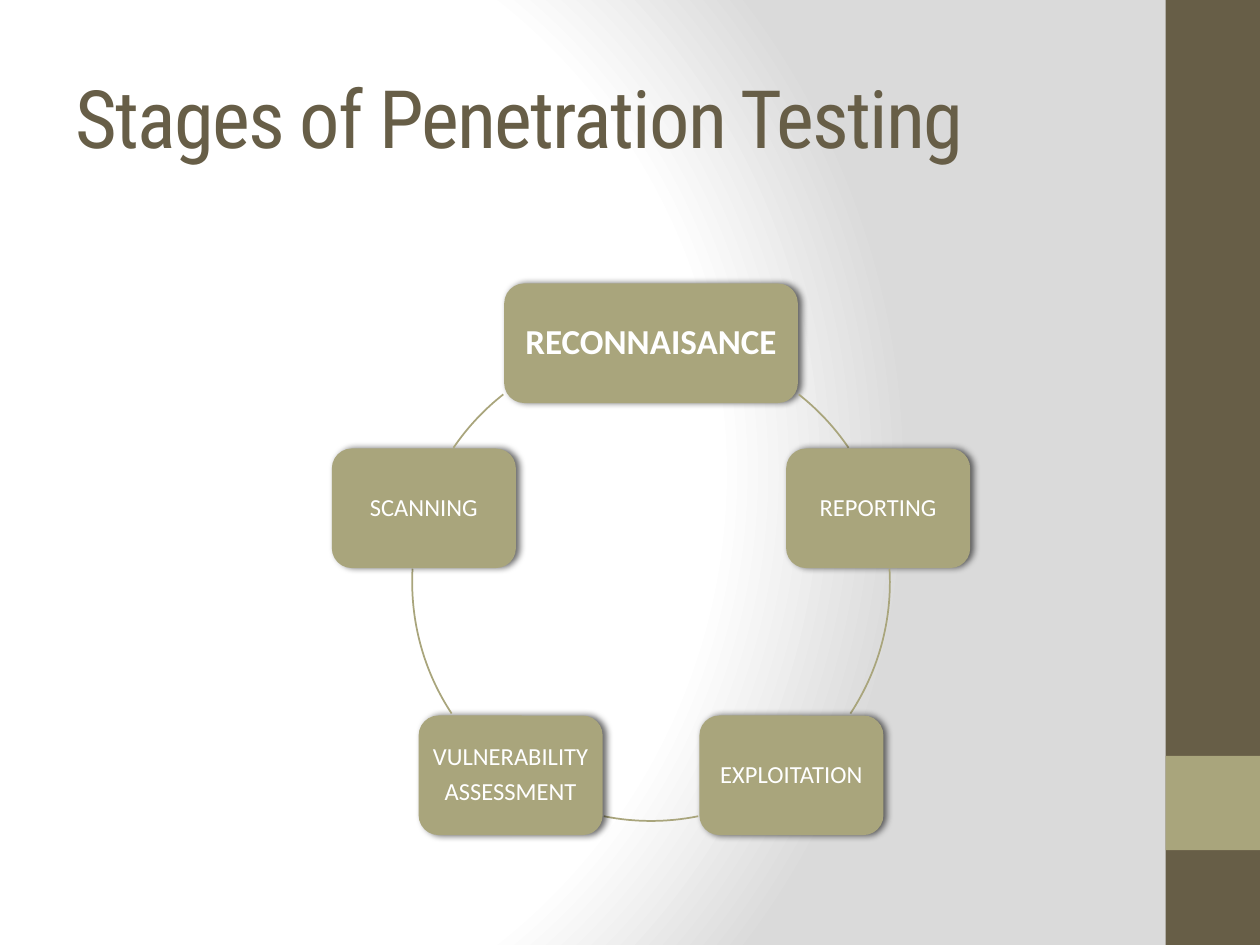
from math import cos, radians, sin

from pptx import Presentation
from pptx.dml.color import RGBColor
from pptx.enum.shapes import MSO_SHAPE
from pptx.enum.text import MSO_ANCHOR, MSO_AUTO_SIZE, PP_ALIGN
from pptx.oxml import parse_xml
from pptx.oxml.ns import nsdecls
from pptx.util import Cm, Pt

RECTANGLE = MSO_SHAPE.RECTANGLE
ROUNDED = MSO_SHAPE.ROUNDED_RECTANGLE
ARC = MSO_SHAPE.ARC
MIDDLE = MSO_ANCHOR.MIDDLE
LEFT, CENTER = PP_ALIGN.LEFT, PP_ALIGN.CENTER
NO_AUTOFIT = MSO_AUTO_SIZE.NONE

COLORS = {"brown": "675E47", "olive": "A9A57C", "white": "FFFFFF",
          "gray": "DADADA", "shadow": "000000"}
TITLE_FONT, BODY_FONT = "Roboto Condensed", "Calibri"
TITLE_ONLY = 5

STAGES = [
    {"lines": ["RECONNAISANCE"], "arc": (308.2, 325.8), "width": 5.92,
     "margin": 0.2, "size": 20, "bold": True},
    {"lines": ["REPORTING"], "arc": (356.8, 33.4)},
    {"lines": ["EXPLOITATION"], "arc": (78.6, 101.4)},
    {"lines": ["VULNERABILITY", "ASSESSMENT"], "arc": (146.6, 183.2)},
    {"lines": ["SCANNING"], "arc": (214.2, 231.8)},
]


def color(name):
    """Return the named palette colour."""
    return RGBColor.from_string(COLORS[name])


def write_text(shape, lines, size, font, ink, align=CENTER, bold=False,
               margin=None, line_spacing=None, space_after=None, tracking=None):
    """Write one paragraph per line into a shape, with the given format."""
    frame = shape.text_frame
    frame.auto_size = NO_AUTOFIT
    frame.word_wrap = True
    frame.vertical_anchor = MIDDLE
    if margin is not None:
        frame.margin_left = frame.margin_right = Cm(margin)
        frame.margin_top = frame.margin_bottom = Cm(margin)
    for index, line in enumerate(lines):
        paragraph = frame.add_paragraph() if index else frame.paragraphs[0]
        paragraph.alignment = align
        paragraph.line_spacing = line_spacing
        if space_after is not None:
            paragraph.space_after = Pt(space_after)
        run = paragraph.add_run()
        run.text = line
        run.font.size = Pt(size)
        run.font.name = font
        run.font.bold = bold
        run.font.color.rgb = color(ink)
        if tracking is not None:
            run.font._element.set("spc", str(tracking * 100))


def add_block(slide, kind, left, top, width, height, fill):
    """Add a filled shape without outline or shadow."""
    shape = slide.shapes.add_shape(kind, Cm(left), Cm(top), Cm(width), Cm(height))
    shape.shadow.inherit = False
    shape.fill.solid()
    shape.fill.fore_color.rgb = color(fill)
    shape.line.fill.background()
    return shape


def set_background(slide):
    """Give the slide a radial gradient from white to gray."""
    stops = "".join(
        f'<a:gs pos="{position * 1000}"><a:srgbClr val="{COLORS[name]}"/></a:gs>'
        for position, name in [(0, "white"), (75, "white"), (100, "gray")])
    slide.element.cSld.insert(0, parse_xml(
        f'<p:bg {nsdecls("p", "a")}><p:bgPr><a:gradFill rotWithShape="1">'
        f'<a:gsLst>{stops}</a:gsLst><a:path path="circle">'
        '<a:fillToRect l="20000" t="50000" r="100000" b="50000"/></a:path>'
        '</a:gradFill><a:effectLst/></p:bgPr></p:bg>'))


def add_side_bar(slide, left, top, width, height):
    """Draw the side bar with its square accent."""
    add_block(slide, RECTANGLE, left, top, width, height, "brown")
    add_block(slide, RECTANGLE, left, top + height * 0.8, width, width, "olive")


def add_title(slide, text, left, top, width, height):
    """Place and format the title placeholder."""
    title = slide.shapes.title
    title.left, title.top = Cm(left), Cm(top)
    title.width, title.height = Cm(width), Cm(height)
    write_text(title, [text], 46, TITLE_FONT, "brown", align=LEFT, tracking=-1)


def add_stage(slide, center_x, center_y, lines, width=3.71, height=2.41,
              margin=0.15, size=14, bold=False):
    """Draw one stage of the cycle around its centre."""
    box = add_block(slide, ROUNDED, center_x - width / 2, center_y - height / 2,
                    width, height, "olive")
    box._element.spPr.find("{*}effectLst").append(parse_xml(
        f'<a:outerShdw {nsdecls("a")} blurRad="{Pt(4)}" dist="{Pt(2)}" dir="0" '
        f'rotWithShape="0"><a:srgbClr val="{COLORS["shadow"]}">'
        '<a:alpha val="60000"/></a:srgbClr></a:outerShdw>'))
    write_text(box, lines, size, BODY_FONT, "white", bold=bold, margin=margin,
               line_spacing=0.9, space_after=size * 0.35)


def add_arc(slide, left, top, diameter, angles):
    """Draw the part of the circle between two clockwise angles in degrees."""
    arc = slide.shapes.add_shape(ARC, Cm(left), Cm(top), Cm(diameter), Cm(diameter))
    arc.shadow.inherit = False
    arc.fill.background()
    arc.line.color.rgb = color("olive")
    arc.line.width = Pt(1)
    for index, angle in enumerate(angles):
        arc.adjustments[index] = angle * 0.6


def add_cycle(slide, stages, left, top, diameter):
    """Space the stages evenly on a circle and join them with arcs."""
    radius = diameter / 2
    for index, stage in enumerate(stages):
        angle = radians(index * 360 / len(stages) - 90)
        style = {key: value for key, value in stage.items() if key != "arc"}
        add_stage(slide, left + radius * (1 + cos(angle)),
                  top + radius * (1 + sin(angle)), **style)
        add_arc(slide, left, top, diameter, stage["arc"])


def main():
    """Build and save the presentation."""
    presentation = Presentation()
    presentation.slide_width, presentation.slide_height = Cm(25.4), Cm(19.05)
    slide = presentation.slides.add_slide(presentation.slide_layouts[TITLE_ONLY])
    set_background(slide)
    add_side_bar(slide, 23.5, 0, 1.9, 19.05)
    add_title(slide, "Stages of Penetration Testing", 1.27, 0.76, 21.16, 3.18)
    add_cycle(slide, STAGES, 8.31, 6.92, 9.63)
    presentation.save("out.pptx")


if __name__ == "__main__":
    main()
